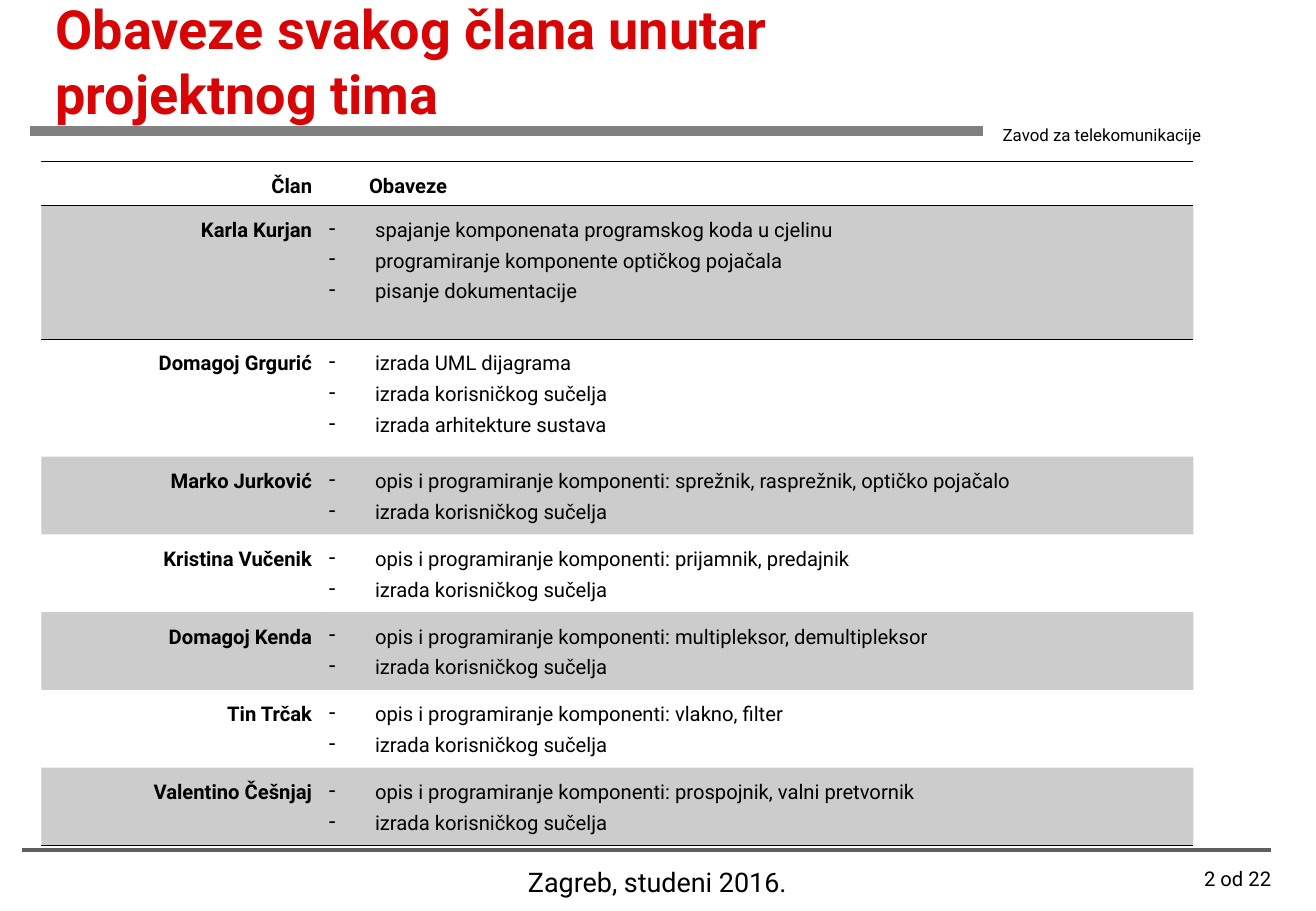
from lxml import etree
from pptx import Presentation
from pptx.dml.color import RGBColor
from pptx.enum.shapes import MSO_CONNECTOR
from pptx.enum.text import MSO_ANCHOR, PP_ALIGN
from pptx.oxml.ns import qn
from pptx.util import Inches, Pt

# Content
FONT = "Roboto"
BLACK = "000000"
NO_GRID_STYLE = "{2D5ABB26-0587-4C30-8999-92F81FD0307C}"

TEXTS = [  # text, (left, top, width, height), alignment, anchor, format
    ("Zavod za telekomunikacije", (8.07, 0.98, 1.92, 0.27),
     PP_ALIGN.RIGHT, MSO_ANCHOR.TOP, {"size": 10}),
    ("Zagreb, studeni 2016.", (4, 7.08, 2.83, 0.42),
     PP_ALIGN.CENTER, MSO_ANCHOR.TOP, {"size": 16}),
    ("2 od 22", (8.31, 7.08, 2.26, 0.42),
     PP_ALIGN.RIGHT, MSO_ANCHOR.TOP, {"size": 12}),
    ("Obaveze svakog člana unutar projektnog tima", (0.36, 0, 7.14, 1),
     PP_ALIGN.LEFT, MSO_ANCHOR.MIDDLE,
     {"size": 32, "bold": True, "color": "D70505"}),
]
RULES = [  # from, to, colour, width
    ((8.1, 1.08), (0.25, 1.08), "808080", 6),
    ((10.47, 7), (0.18, 7), "5F5F5F", 2.25),
]
HEADER = ("Član", "Obaveze")
INTERFACE = "izrada korisničkog sučelja"
COMPONENTS = "opis i programiranje komponenti: "
MEMBERS = [
    ("Karla Kurjan", ["spajanje komponenata programskog koda u cjelinu",
                      "programiranje komponente optičkog pojačala",
                      "pisanje dokumentacije"]),
    ("Domagoj Grgurić", ["izrada UML dijagrama", INTERFACE,
                         "izrada arhitekture sustava"]),
    ("Marko Jurković",
     [COMPONENTS + "sprežnik, rasprežnik, optičko pojačalo", INTERFACE]),
    ("Kristina Vučenik", [COMPONENTS + "prijamnik, predajnik", INTERFACE]),
    ("Domagoj Kenda", [COMPONENTS + "multipleksor, demultipleksor", INTERFACE]),
    ("Tin Trčak", [COMPONENTS + "vlakno, filter", INTERFACE]),
    ("Valentino Češnjaj", [COMPONENTS + "prospojnik, valni pretvornik", INTERFACE]),
]
TABLE_LEFT, TABLE_TOP = 0.34, 1.33
COLUMN_WIDTHS = [2.3, 7.19]
ROW_HEIGHTS = [0.35, 1.1, 0.97] + [0.64] * 5
BULLET_INDENT, HEADER_INDENT = 0.38, 0.33


# Helpers
def rgb(color):
    return RGBColor.from_string(color)


def add_run(paragraph, text, size=12, bold=False, color=BLACK):
    run = paragraph.add_run()
    run.text = text
    font_format = {"name": FONT, "size": Pt(size), "bold": bold}
    for name, value in font_format.items():
        setattr(run.font, name, value)
    run.font.color.rgb = rgb(color)


def add_color(parent, color):
    return etree.SubElement(parent, qn("a:srgbClr"), val=color)


def add_bullet(paragraph):
    properties = paragraph._p.get_or_add_pPr()
    properties.set("marL", str(Inches(BULLET_INDENT)))
    properties.set("indent", str(-Inches(BULLET_INDENT)))
    add_color(etree.SubElement(properties, qn("a:buClr")), BLACK)
    etree.SubElement(properties, qn("a:buChar"), char="-")


def add_border(cell, side):
    border = etree.SubElement(cell._tc.get_or_add_tcPr(), qn("a:ln" + side),
                              w=str(Pt(0.45)))
    add_color(etree.SubElement(border, qn("a:solidFill")), BLACK)


def fill_cell(cell, shaded):
    if not shaded:
        cell.fill.background()
        return
    cell.fill.solid()
    cell.fill.fore_color.rgb = rgb(BLACK)
    color = cell._tc.tcPr.find(qn("a:solidFill")).find(qn("a:srgbClr"))
    etree.SubElement(color, qn("a:alpha"), val="20000")


def write_cell(cell, lines, bold, align=PP_ALIGN.LEFT, bullets=False):
    margins = {"margin_left": 0.07, "margin_right": 0.07,
               "margin_top": 0.05, "margin_bottom": 0.05}
    for name, value in margins.items():
        setattr(cell, name, Inches(value))
    for index, line in enumerate(lines):
        frame = cell.text_frame
        paragraph = frame.add_paragraph() if index else frame.paragraphs[0]
        if bullets:
            add_bullet(paragraph)
        paragraph.alignment = align
        paragraph.line_spacing = 1.3
        add_run(paragraph, line, bold=bold)


def add_rule(slide, start, end, color, width):
    points = [Inches(value) for value in start + end]
    rule = slide.shapes.add_connector(MSO_CONNECTOR.STRAIGHT, *points)
    rule.line.color.rgb = rgb(color)
    rule.line.width = Pt(width)
    etree.SubElement(rule._element.spPr, qn("a:effectLst"))


def add_text(slide, text, box, align, anchor, text_format):
    shape = slide.shapes.add_textbox(*[Inches(value) for value in box])
    frame = shape.text_frame
    frame.word_wrap = True
    frame.vertical_anchor = anchor
    paragraph = frame.paragraphs[0]
    paragraph.alignment = align
    add_run(paragraph, text, **text_format)


def add_duties_table(slide):
    shape = slide.shapes.add_table(
        len(ROW_HEIGHTS), len(COLUMN_WIDTHS), Inches(TABLE_LEFT), Inches(TABLE_TOP),
        Inches(sum(COLUMN_WIDTHS)), Inches(sum(ROW_HEIGHTS)))
    table = shape.table
    table.first_row = table.horz_banding = False
    table._tbl.tblPr.find(qn("a:tableStyleId")).text = NO_GRID_STYLE
    for column, width in zip(table.columns, COLUMN_WIDTHS):
        column.width = Inches(width)
    for row, height in zip(table.rows, ROW_HEIGHTS):
        row.height = Inches(height)

    # Header and member rows
    write_cell(table.cell(0, 0), [HEADER[0]], True, PP_ALIGN.RIGHT)
    write_cell(table.cell(0, 1), [HEADER[1]], True)
    header_paragraph = table.cell(0, 1).text_frame.paragraphs[0]
    header_paragraph._p.get_or_add_pPr().set("marL", str(Inches(HEADER_INDENT)))
    for row, (member, duties) in enumerate(MEMBERS, start=1):
        write_cell(table.cell(row, 0), [member], True, PP_ALIGN.RIGHT)
        write_cell(table.cell(row, 1), duties, False, bullets=True)

    # Borders around the header and under the last row, odd rows shaded
    borders = {0: "TB", 1: "T", len(MEMBERS): "B"}
    for row, table_row in enumerate(table.rows):
        for cell in table_row.cells:
            for side in borders.get(row, ""):
                add_border(cell, side)
            fill_cell(cell, shaded=row % 2 == 1)


def main():
    presentation = Presentation()
    presentation.slide_width = Inches(10.84)
    presentation.slide_height = Inches(7.5)
    slide = presentation.slides.add_slide(presentation.slide_layouts[6])
    for rule in RULES:
        add_rule(slide, *rule)
    for text in TEXTS:
        add_text(slide, *text)
    add_duties_table(slide)
    presentation.save("out.pptx")


if __name__ == "__main__":
    main()
